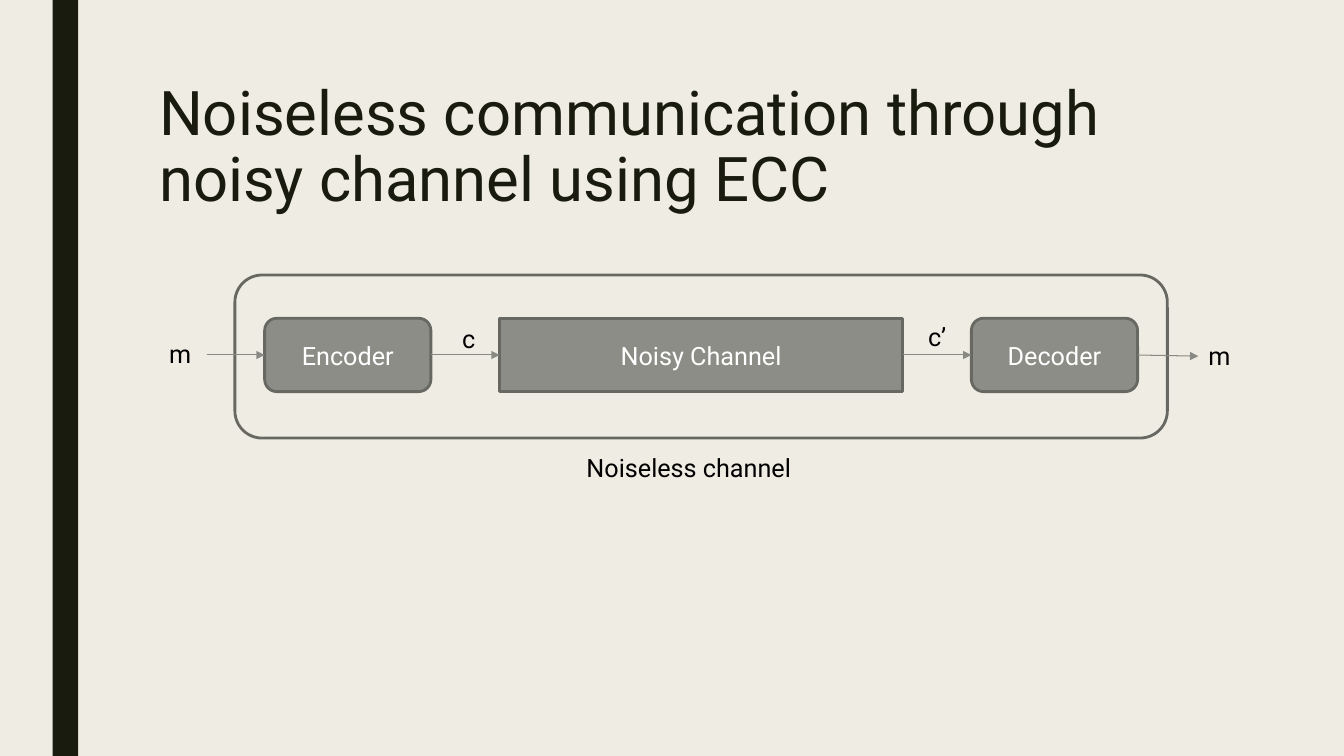
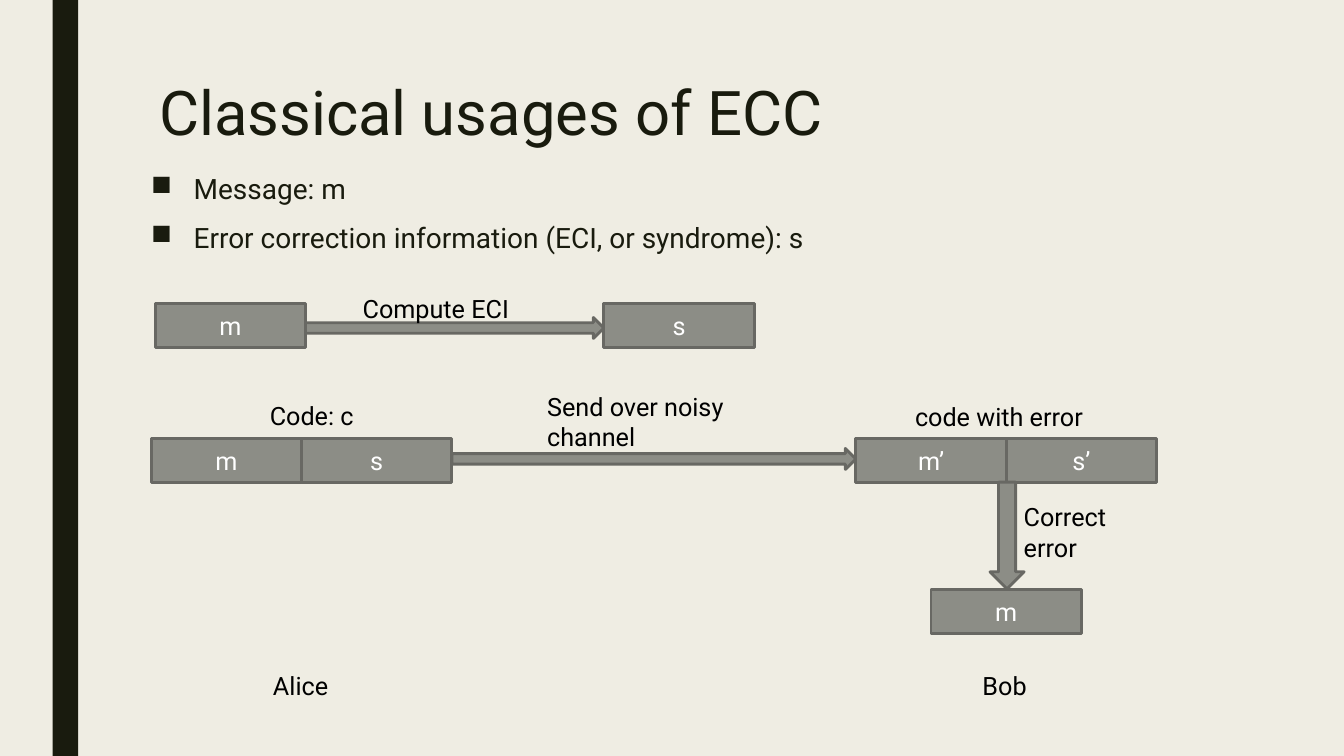
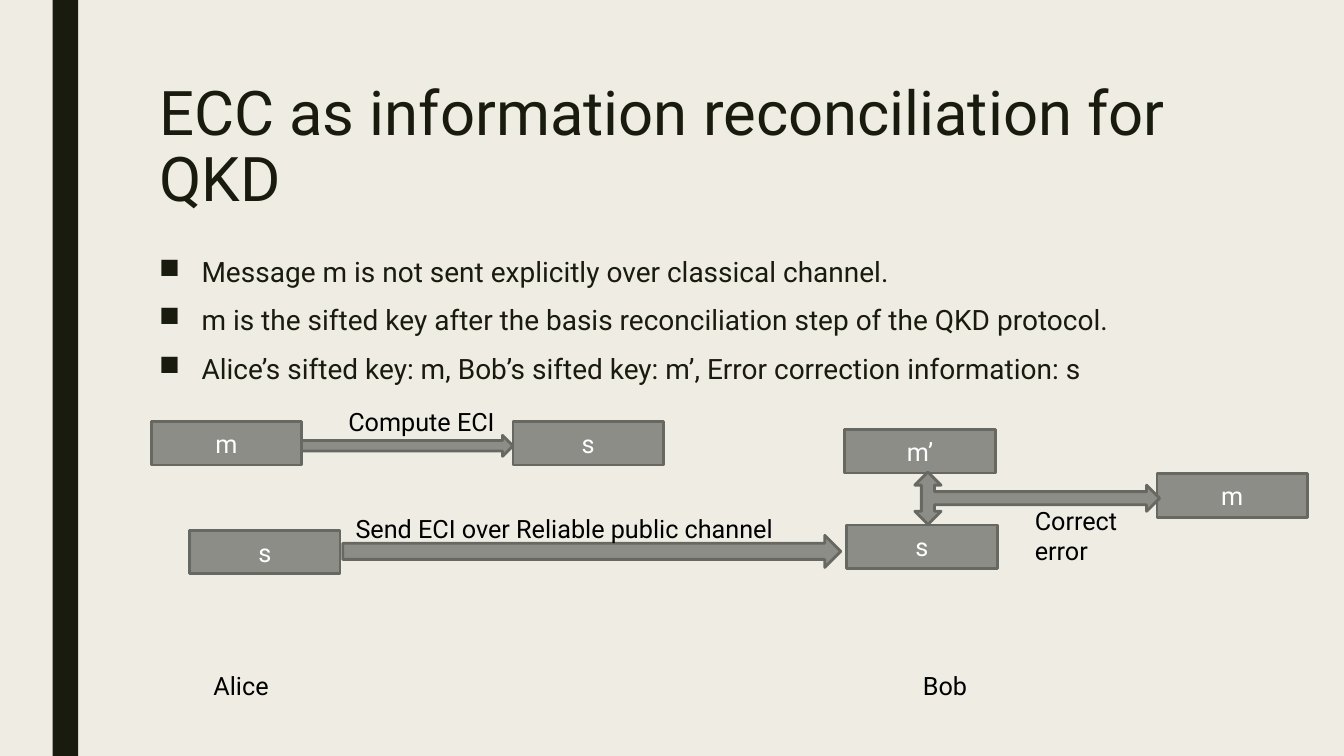
import pptx
import pptx.util
import pptx.dml.color
import pptx.enum.shapes
import pptx.enum.text
import pptx.oxml
import pptx.oxml.ns

Cm = pptx.util.Cm
Pt = pptx.util.Pt
RGBColor = pptx.dml.color.RGBColor
KIND = pptx.enum.shapes.MSO_SHAPE
ALIGN = pptx.enum.text.PP_ALIGN
ANCHOR = pptx.enum.text.MSO_ANCHOR

PAPER = RGBColor(0xEF, 0xED, 0xE3)
INK = RGBColor(0x19, 0x1B, 0x0E)
GRAY = RGBColor(0x8C, 0x8D, 0x86)
EDGE = RGBColor(0x68, 0x68, 0x63)
WIRE = RGBColor(0x89, 0x8A, 0x83)
BLACK = RGBColor(0, 0, 0)
WHITE = RGBColor(255, 255, 255)
FONT = "Roboto"
CELL_W, CELL_H = 3.79, 1.1
SHAFT = 0.53


def style(par, size, color):
    for run in par.runs:
        run.font.name = FONT
        run.font.size = Pt(size)
        run.font.color.rgb = color


def shape(slide, kind, x, y, w, h, fill=GRAY, line=EDGE, text=""):
    item = slide.shapes.add_shape(kind, Cm(x), Cm(y), Cm(w), Cm(h))
    item.shadow.inherit = False
    if fill is None:
        item.fill.background()
    else:
        item.fill.solid()
        item.fill.fore_color.rgb = fill
    if line is None:
        item.line.fill.background()
    else:
        item.line.color.rgb = line
        item.line.width = Pt(2)
    if text:
        frame = item.text_frame
        frame.text = text
        frame.vertical_anchor = ANCHOR.MIDDLE
        frame.paragraphs[0].alignment = ALIGN.CENTER
        style(frame.paragraphs[0], 18, WHITE)
    return item


def label(slide, text, x, y, w, h=1.02, size=18, color=BLACK):
    frame = slide.shapes.add_textbox(Cm(x), Cm(y), Cm(w), Cm(h)).text_frame
    frame.word_wrap = True
    frame.text = text
    for par in frame.paragraphs:
        style(par, size, color)
    return frame


def cell(slide, text, x, y):
    return shape(slide, KIND.RECTANGLE, x, y, CELL_W, CELL_H, text=text)


def pair(slide, names, x, y):
    for i, name in enumerate(names):
        cell(slide, name, x + i * CELL_W, y)


def wire(slide, x1, y1, x2, y2, start=None, end=None):
    line = slide.shapes.add_connector(
        pptx.enum.shapes.MSO_CONNECTOR.STRAIGHT, Cm(x1), Cm(y1), Cm(x2), Cm(y2))
    if start is not None:
        line.begin_connect(start, 3)
    if end is not None:
        line.end_connect(end, 1)
    line.line.color.rgb = WIRE
    line.line.width = Pt(0.75)
    tip = pptx.oxml.parse_xml(
        '<a:tailEnd %s type="triangle"/>' % pptx.oxml.ns.nsdecls("a"))
    line.line._get_or_add_ln().append(tip)
    line._element.spPr.append(pptx.oxml.parse_xml(
        "<a:effectLst %s/>" % pptx.oxml.ns.nsdecls("a")))


def page(deck, title):
    slide = deck.slides.add_slide(deck.slide_layouts[6])
    shape(slide, KIND.RECTANGLE, 1.33, 0, 0.64, 19.05, INK, None)
    frame = label(slide, title, 3.81, 1.9, 26.67, 4.11, 44, INK)
    frame.margin_left = frame.margin_top = Cm(0.2)
    frame.paragraphs[0].line_spacing = 0.89
    return slide


def points(slide, items, x, y, h):
    frame = label(slide, "\n".join(items), x, y, 26.67, h, 20, INK)
    frame.margin_left = Cm(0.2)
    for par in frame.paragraphs:
        par.line_spacing = 0.94
        par.space_before = Pt(10)
        par.space_after = Pt(2)
        props = par._p.get_or_add_pPr()
        props.set("marL", str(Cm(1.07)))
        props.set("indent", str(-Cm(1.07)))
        props.append(pptx.oxml.parse_xml(
            '<a:buChar %s char="■"/>' % pptx.oxml.ns.nsdecls("a")))


def channel(slide, x, y, w, h):
    shape(slide, KIND.ROUNDED_RECTANGLE, x, y, w, h, None)
    top, tall, gap = y + 1.09, 1.85, 1.73
    mid = top + tall / 2
    parts = []
    left = x + 0.75
    for name, kind, wide in (
            ("Encoder", KIND.ROUNDED_RECTANGLE, 4.19),
            ("Noisy Channel", KIND.RECTANGLE, 10.16),
            ("Decoder", KIND.ROUNDED_RECTANGLE, 4.19)):
        parts.append(shape(slide, kind, left, top, wide, tall, text=name))
        left += wide + gap
    for start, end in zip(parts, parts[1:]):
        wire(slide, 0, 0, 0, 0, start, end)
    wire(slide, x - 0.71, mid, x, mid, end=parts[0])
    wire(slide, x, mid, x + w + 0.78, mid + 0.03, start=parts[-1])
    for text, dx, dy in (("m", -1.91, 1.48), ("c", 5.48, 1.1),
                         ("c’", 17.22, 1.05), ("m", 24.28, 1.53)):
        label(slide, text, x + dx, y + dy, 1.19)
    label(slide, "Noiseless channel", x + 8.61, y + h + 0.24, 6.2)


def compute(slide, x, y, gap, dx, dy):
    cell(slide, "m", x, y)
    cell(slide, "s", x + CELL_W + gap, y)
    shape(slide, KIND.RIGHT_ARROW, x + CELL_W, y + 0.35, gap, SHAFT)
    label(slide, "Compute ECI", x + dx, y + dy, 5.66)


def send(slide, x, y):
    far = x + 17.76
    pair(slide, ("m", "s"), x, y)
    pair(slide, ("m’", "s’"), far, y)
    near = x + 2 * CELL_W
    shape(slide, KIND.RIGHT_ARROW, near, y + 0.25, far - near, SHAFT)
    label(slide, "Code: c", x + 2.74, y - 1.09, 2.95)
    label(slide, "Send over noisy channel", x + 9.73, y - 1.32, 5.84, 1.78)
    label(slide, "code with error", far + 1.24, y - 1.07, 6.93)
    shape(slide, KIND.DOWN_ARROW, far + 3.38, y + CELL_H, 0.86, 2.69)
    label(slide, "Correct error", far + 3.98, y + 1.47, 3.63, 1.78)
    cell(slide, "m", far + CELL_W / 2, y + 3.81)


def public(slide, x, y):
    cell(slide, "s", x, y)
    shape(slide, KIND.RIGHT_ARROW, x + 3.86, y + 0.13, 12.55, 0.81)
    label(slide, "Send ECI over Reliable public channel",
          x + 3.93, y - 0.56, 11.05)


def correct(slide, x, y):
    cell(slide, "m’", x, y)
    cell(slide, "s", x + 0.05, y + 2.41)
    cell(slide, "m", x + 7.87, y + 1.12)
    label(slide, "Correct error", x + 4.54, y + 1.78, 3.63, 1.78)
    fork = shape(slide, KIND.LEFT_RIGHT_UP_ARROW,
                 x + 4.19, y - 1.35, 1.32, 6.17)
    fork.rotation = 90


def people(slide, x, y):
    label(slide, "Alice", x, y, 2.08)
    label(slide, "Bob", x + 17.88, y, 2.08)


def main():
    deck = pptx.Presentation()
    deck.slide_width, deck.slide_height = Cm(33.87), Cm(19.05)
    back = deck.slide_master.background.fill
    back.solid()
    back.fore_color.rgb = PAPER

    slide = page(deck, "Noiseless communication through noisy channel using ECC")
    channel(slide, 5.92, 6.93, 23.5, 4.11)

    slide = page(deck, "Classical usages of ECC")
    points(slide, ("Message: m",
                   "Error correction information (ECI, or syndrome): s"),
           3.61, 4.27, 3)
    compute(slide, 3.91, 7.65, 7.52, 4.98, -0.39)
    send(slide, 3.81, 11.05)
    people(slide, 6.63, 16.76)

    slide = page(deck, "ECC as information reconciliation for QKD")
    points(slide, (
        "Message m is not sent explicitly over classical channel.",
        "m is the sifted key after the basis reconciliation step of the QKD protocol.",
        "Alice’s sifted key: m, Bob’s sifted key: m’, Error correction information: s"),
        3.81, 6.35, 3.56)
    compute(slide, 3.81, 10.62, 5.33, 4.72, -0.51)
    public(slide, 4.78, 13.36)
    correct(slide, 21.29, 10.82)
    people(slide, 5.13, 16.76)

    deck.save("out.pptx")


if __name__ == "__main__":
    main()
